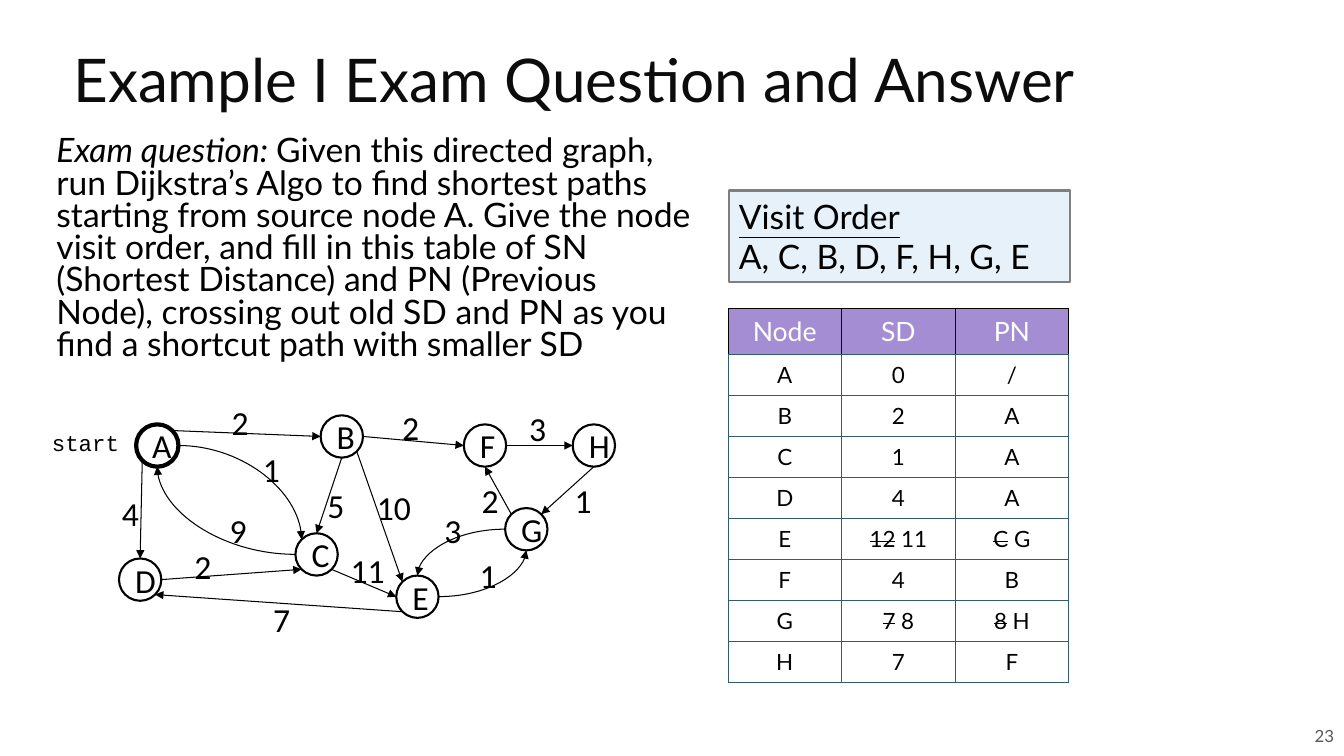
from lxml.etree import SubElement
from pptx import Presentation
from pptx.dml.color import RGBColor
from pptx.enum.shapes import MSO_CONNECTOR, MSO_SHAPE
from pptx.enum.text import MSO_ANCHOR, PP_ALIGN
from pptx.oxml.ns import qn
from pptx.util import Inches, Pt

BLACK = RGBColor(0, 0, 0)
WHITE = RGBColor(255, 255, 255)
INK = RGBColor(0x0C, 0x0C, 0x0C)
GREY = RGBColor(0x59, 0x59, 0x59)
EDGE = RGBColor(0x7F, 0x7F, 0x7F)
PALE = RGBColor(0xE7, 0xF1, 0xFA)
PURPLE = RGBColor(0xA4, 0x8D, 0xD3)
TEAL = RGBColor(0x33, 0x5B, 0x74)


def style(para, size, face="Lato", color=BLACK, align=PP_ALIGN.LEFT):
    para.alignment = align
    para.font.size = Pt(size)
    para.font.name = face
    para.font.color.rgb = color


def add_text(left, top, width, height, text, pad=(0.1, 0.05), wrap=True):
    """Add a text box with side and top padding; return its frame."""
    box = slide.shapes.add_textbox(Inches(left), Inches(top), Inches(width), Inches(height))
    frame = box.text_frame
    frame.word_wrap = wrap
    frame.margin_left = frame.margin_right = Inches(pad[0])
    frame.margin_top = frame.margin_bottom = Inches(pad[1])
    frame.text = text
    return frame


deck = Presentation()
deck.slide_width, deck.slide_height = Inches(13.33), Inches(7.5)
slide = deck.slides.add_slide(deck.slide_layouts[6])

# Page number, question and title
page = add_text(8.65, 7.1, 4.68, 0.4, "23", (0.1, 0.1))
page.vertical_anchor = MSO_ANCHOR.MIDDLE
style(page.paragraphs[0], 12, color=GREY, align=PP_ALIGN.RIGHT)

task = add_text(0.51, 1.31, 6.42, 2.44, "Exam question: ", (0.05, 0.05)).paragraphs[0]
style(task, 24)
task.line_spacing = 0.8
task.runs[0].font.italic = True
task.add_run().text = (
    "Given this directed graph, run Dijkstra’s Algo to find shortest paths "
    "starting from source node A. Give the node visit order, and fill in this "
    "table of SN (Shortest Distance) and PN (Previous Node), crossing out old "
    "SD and PN as you find a shortcut path with smaller SD"
)

title = add_text(0.63, 0.29, 12.23, 1.11, "Example I Exam Question and Answer")
title.vertical_anchor = MSO_ANCHOR.MIDDLE
style(title.paragraphs[0], 43, color=INK)
title.paragraphs[0].line_spacing = 0.8

# Graph nodes, by top left corner
SIZE = 0.42
nodes = {
    "A": (1.35, 4.21), "B": (3.18, 4.12), "D": (1.18, 5.54), "C": (2.93, 5.29),
    "F": (4.6, 4.21), "H": (5.68, 4.21), "E": (3.93, 5.71), "G": (5.01, 5.04),
}
for name, (left, top) in nodes.items():
    node = slide.shapes.add_shape(
        MSO_SHAPE.OVAL, Inches(left), Inches(top), Inches(SIZE), Inches(SIZE))
    node.shadow.inherit = False
    node.line.color.rgb = BLACK
    node.line.width = Pt(1.5)
    node.fill.background()
    if name == "A":
        node.fill.solid()
        node.fill.fore_color.rgb = WHITE
        node.line.width = Pt(3)
    node.text_frame.text = name
    node.text_frame.vertical_anchor = MSO_ANCHOR.MIDDLE
    style(node.text_frame.paragraphs[0], 24, "Calibri", align=PP_ALIGN.CENTER)

# Compass points on a node, as shares of its size
NEAR, FAR = 0.146, 0.854
ports = {
    "N": (0.5, 0), "S": (0.5, 1), "W": (0, 0.5), "E": (1, 0.5),
    "NW": (NEAR, NEAR), "NE": (FAR, NEAR), "SW": (NEAR, FAR), "SE": (FAR, FAR),
}
# Start node and port, end node and port, curved, weight, label corner
edges = [
    ("A", "E", "C", "NW", True, "1", 2.51, 4.4),
    ("C", "W", "A", "S", True, "9", 2.18, 5.01),
    ("G", "W", "E", "N", True, "3", 4.31, 5.01),
    ("E", "E", "G", "S", True, "1", 4.66, 5.46),
    ("A", "SW", "D", "N", False, "4", 1.11, 4.84),
    ("D", "E", "C", "SW", False, "2", 1.83, 5.37),
    ("A", "NE", "B", "W", False, "2", 2.2, 3.94),
    ("B", "E", "F", "W", False, "2", 3.89, 3.99),
    ("F", "E", "H", "W", False, "3", 5.15, 4),
    ("G", "NW", "F", "S", False, "2", 4.68, 4.71),
    ("H", "S", "G", "NE", False, "1", 5.6, 4.71),
    ("B", "SE", "E", "NW", False, "10", 3.64, 4.78),
    ("B", "S", "C", "N", False, "5", 3.15, 4.76),
    ("C", "SE", "E", "W", False, "11", 3.38, 5.41),
    ("E", "SW", "D", "SE", False, "7", 2.61, 5.89),
]
for start, out, end, into, curved, weight, left, top in edges:
    spots = []
    for name, port in ((start, out), (end, into)):
        for base, share in zip(nodes[name], ports[port]):
            spots.append(Inches(base + share * SIZE))
    kind = MSO_CONNECTOR.CURVE if curved else MSO_CONNECTOR.STRAIGHT
    arrow = slide.shapes.add_connector(kind, *spots)
    arrow.line.color.rgb = BLACK
    arrow.line.width = Pt(0.75)
    SubElement(arrow.line._get_or_add_ln(), qn("a:tailEnd"), type="triangle")
    props = arrow._element.spPr
    SubElement(props, qn("a:effectLst"))
    if curved:
        props.find(qn("a:prstGeom")).set("prst", "curvedConnector2")
    label = add_text(left, top, 0.2 + 0.17 * len(weight), 0.5, weight, wrap=False)
    style(label.paragraphs[0], 24, "Calibri")

first = add_text(0.25, 4.13, 1.06, 0.52, "start", (0.13, 0.13))
style(first.paragraphs[0], 16, "Courier New", align=PP_ALIGN.RIGHT)

# Visit order
order = slide.shapes.add_shape(
    MSO_SHAPE.RECTANGLE, Inches(7.23), Inches(1.89), Inches(3.38), Inches(0.91))
order.shadow.inherit = False
order.fill.solid()
order.fill.fore_color.rgb = PALE
order.line.color.rgb = EDGE
order.line.width = Pt(1.5)
order.text_frame.vertical_anchor = MSO_ANCHOR.TOP
order.text_frame.text = "Visit Order\nA, C, B, D, F, H, G, E"
for para in order.text_frame.paragraphs:
    style(para, 24)
order.text_frame.paragraphs[0].font.underline = True

# Answer table; text before a bar is crossed out
rows = [
    ("Node", "SD", "PN"),
    ("A", "0", "/"),
    ("B", "2", "A"),
    ("C", "1", "A"),
    ("D", "4", "A"),
    ("E", "12| 11", "C| G"),
    ("F", "4", "B"),
    ("G", "7| 8", "8| H"),
    ("H", "7", "F"),
]
table = slide.shapes.add_table(
    len(rows), 3, Inches(7.22), Inches(3.06), Inches(3.38), Inches(3.64)).table
table.horz_banding = False
for y, row in enumerate(rows):
    head = y == 0
    table.rows[y].height = Inches(0.44 if head else 0.4)
    for x, text in enumerate(row):
        cell = table.cell(y, x)
        cell.vertical_anchor = MSO_ANCHOR.MIDDLE
        cell.margin_left = cell.margin_right = Inches(0.07)
        cell.margin_top = cell.margin_bottom = Inches(0.07)
        para = cell.text_frame.paragraphs[0]
        style(para, 19 if head else 16, color=WHITE if head else BLACK,
              align=PP_ALIGN.CENTER)
        para.font.bold = False
        old, bar, new = text.rpartition("|")
        if bar:
            run = para.add_run()
            run.text = old
            run._r.get_or_add_rPr().set("strike", "sngStrike")
        para.add_run().text = new
        props = cell._tc.get_or_add_tcPr()
        for side in ("lnL", "lnR", "lnT", "lnB"):
            line = SubElement(props, qn("a:" + side), w=str(Pt(0.75)))
            tint = BLACK if head and side != "lnB" else TEAL
            SubElement(SubElement(line, qn("a:solidFill")), qn("a:srgbClr"), val=str(tint))
        if head:
            cell.fill.solid()
            cell.fill.fore_color.rgb = PURPLE
        else:
            cell.fill.background()

deck.save("out.pptx")
